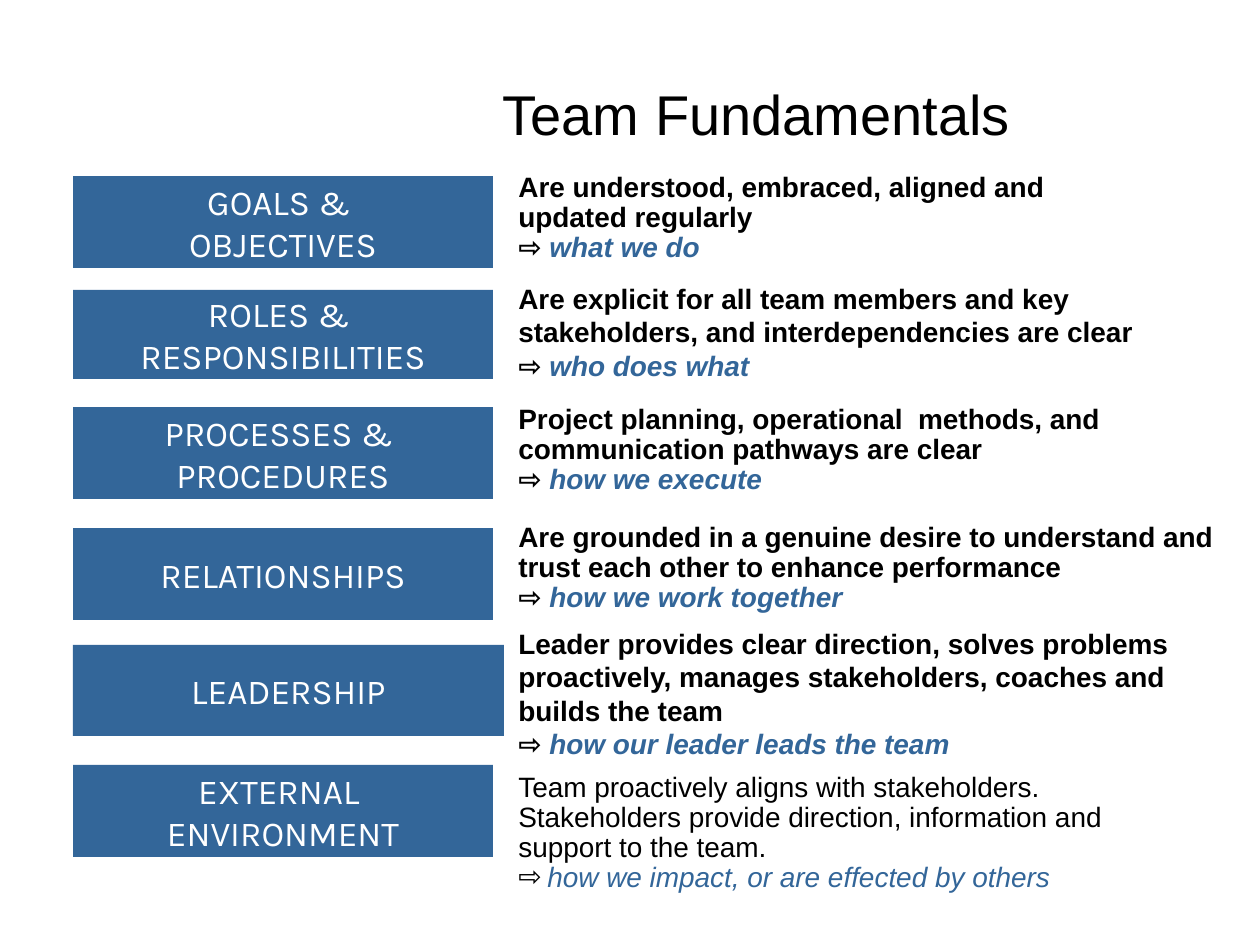
from lxml import etree
from pptx import Presentation
from pptx.dml import color
from pptx.enum import shapes, text
from pptx.oxml import ns
from pptx.util import Pt

SCALE = 914400 / 126
HUES = {"ink": "000000", "blue": "336699", "white": "FFFFFF"}
ARROW = "⇨"
ROWS = [
    (["GOALS & ", "OBJECTIVES"], (176, 420, 92), (167, 609, 105), 0.9,
     "Are understood, embraced, aligned and  updated regularly", "what we do"),
    (["ROLES & ", "RESPONSIBILITIES"], (290, 420, 89), (275, 670, 114), 1,
     "Are explicit for all team members and key stakeholders, and interdependencies are clear",
     "who does what"),
    (["PROCESSES & ", "PROCEDURES"], (407, 420, 92), (399, 660, 103), 0.9,
     "Project planning, operational  methods, and communication pathways are clear",
     "how we execute"),
    (["RELATIONSHIPS"], (528, 420, 92), (517, 755, 104), 0.9,
     "Are grounded in a genuine desire to understand and trust each other to enhance performance",
     "how we work together"),
    (["LEADERSHIP"], (645, 431, 91), (620, 707, 147), 1,
     "Leader provides clear direction, solves problems proactively, "
     "manages stakeholders, coaches and builds the team",
     "how our leader leads the team"),
    (["EXTERNAL ", "ENVIRONMENT"], (765, 420, 92), (767, 707, 164), 0.9,
     "Team proactively aligns with stakeholders.  "
     "Stakeholders provide direction, information and support to the team.",
     "how we impact, or are effected by others"),
]


def px(*nums):
    return [round(n * SCALE) for n in nums]


def rgb(name):
    return color.RGBColor.from_string(HUES[name])


def write(para, words, size=16, face="Arial", hue="ink", bold=False, slant=False):
    run = para.add_run()
    run.text = words
    font = run.font
    font.size, font.name = Pt(size), face
    font.bold, font.italic = bold, slant
    font.color.rgb = rgb(hue)


def lines(frame, count):
    return [frame.paragraphs[0]] + [frame.add_paragraph() for _ in range(count - 1)]


def bullet(para):
    props = para._p.get_or_add_pPr()
    indent = px(29)[0]
    props.set("marL", str(indent))
    props.set("indent", str(-indent))
    hue = etree.SubElement(props, ns.qn("a:buClr"))
    etree.SubElement(hue, ns.qn("a:srgbClr"), val=HUES["ink"])
    etree.SubElement(props, ns.qn("a:buFont"), typeface="Arial")
    etree.SubElement(props, ns.qn("a:buChar"), char=ARROW)


def head(slide):
    title = slide.shapes.title
    title.left, title.top, title.width, title.height = px(404, 83, 721, 60)
    frame = title.text_frame
    frame.auto_size = text.MSO_AUTO_SIZE.NONE
    frame.vertical_anchor = text.MSO_ANCHOR.MIDDLE
    para = frame.paragraphs[0]
    para.alignment = text.PP_ALIGN.CENTER
    write(para, "Team Fundamentals ", size=32)


def label(slide, names, top, width, height):
    box = slide.shapes.add_shape(shapes.MSO_SHAPE.RECTANGLE, *px(73, top, width, height))
    box.shadow.inherit = False
    box.fill.solid()
    box.fill.fore_color.rgb = rgb("blue")
    box.line.fill.background()
    frame = box.text_frame
    frame.word_wrap = False
    frame.vertical_anchor = text.MSO_ANCHOR.MIDDLE
    for para, name in zip(lines(frame, len(names)), names):
        para.alignment = text.PP_ALIGN.CENTER
        write(para, name, size=20, face="Karla", hue="white")


def detail(slide, top, width, height, space, body, motto, last):
    frame = slide.shapes.add_textbox(*px(506, top, width, height)).text_frame
    frame.word_wrap = True
    first, second = lines(frame, 2)
    first.line_spacing = second.line_spacing = space
    write(first, body, bold=not last)
    if last:
        bullet(second)
    else:
        write(second, ARROW + " ", bold=True)
    write(second, motto, hue="blue", bold=not last, slant=True)


def main():
    deck = Presentation()
    deck.slide_width, deck.slide_height = px(1260, 945)
    slide = deck.slides.add_slide(deck.slide_layouts[5])
    head(slide)
    for row in ROWS:
        names, box, area, space, body, motto = row
        label(slide, names, *box)
        detail(slide, *area, space, body, motto, last=row is ROWS[-1])
    deck.save("out.pptx")


if __name__ == "__main__":
    main()
